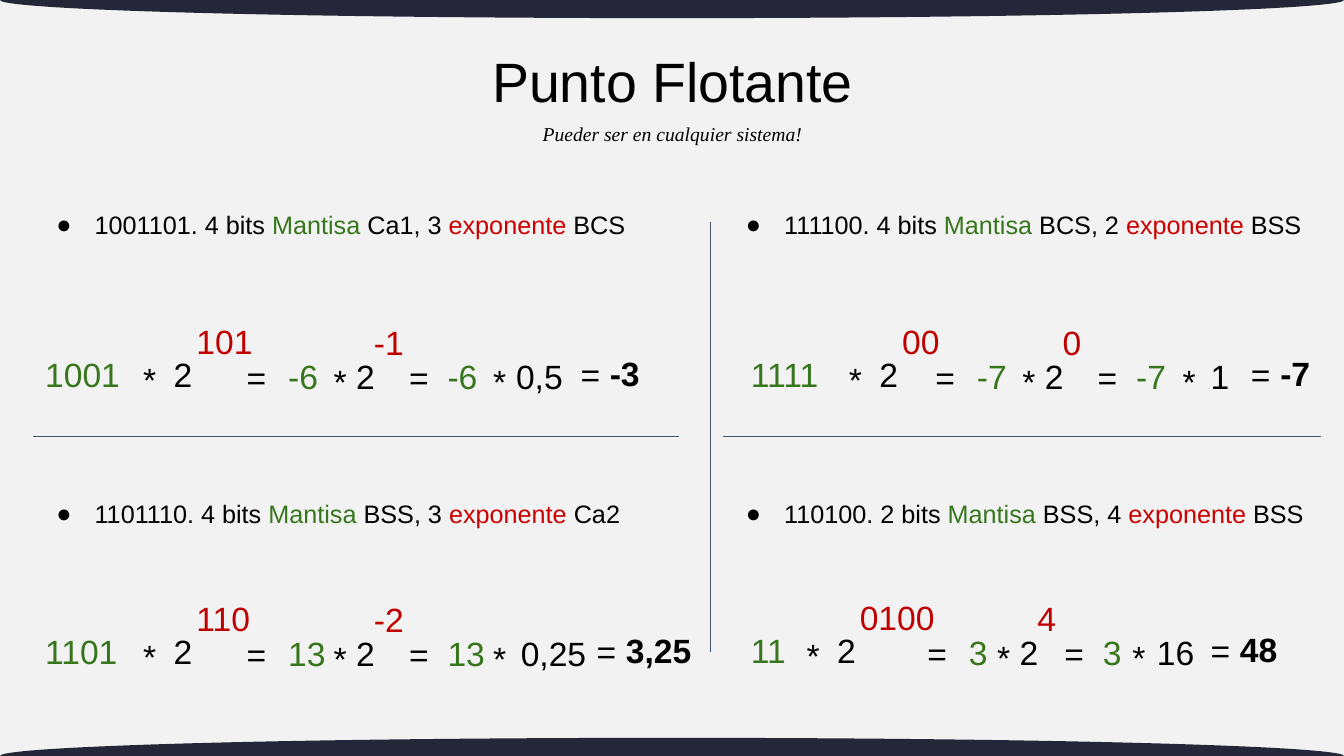
"""Build the slide on floating point numbers: four worked conversions in a two by two grid."""
from dataclasses import dataclass

from lxml.etree import SubElement
from pptx import Presentation
from pptx.dml.color import RGBColor
from pptx.enum.shapes import MSO_CONNECTOR, MSO_SHAPE
from pptx.enum.text import MSO_ANCHOR, PP_ALIGN
from pptx.oxml.ns import qn
from pptx.util import Pt

TITLE = "Punto Flotante"
SUBTITLE = "Pueder ser en cualquier sistema!"

EXAMPLES = [
    dict(heading=("1001101. 4 bits ", " Ca1, 3 ", " BCS"), at=(34, 195, 640), top=321,
         bits=("1001", "101"), decimals=("-6", "-1"), power="0,5", result="-3",
         starts=(35, 233, 394, 564), stars=(92, 83, 80), power_box=(499, 72)),
    dict(heading=("1101110. 4 bits ", " BSS, 3 ", " Ca2"), at=(34, 481, 640), top=596,
         bits=("1101", "110"), decimals=("13", "-2"), power="0,25", result="3,25",
         starts=(35, 233, 394, 580), stars=(92, 83, 80), power_box=(499, 100)),
    dict(heading=("111100. 4 bits ", " BCS, 2 ", " BSS"), at=(718, 195, 590), top=321,
         bits=("1111", "00"), decimals=("-7", "0"), power="1", result="-7",
         starts=(735, 916, 1077, 1229), stars=(92, 83, 81), power_box=(1174, 72)),
    dict(heading=("110100. 2 bits ", " BSS, 4 ", " BSS"), at=(718, 481, 590), top=595,
         bits=("11", "0100"), decimals=("3", "4"), power="16", result="48",
         starts=(735, 908, 1044, 1189), stars=(50, 66, 64), power_box=(1116, 100)),
]
DIVIDERS = [(705, 220, 705, 647), (33, 433, 673, 433), (717, 433, 1310, 433)]

PX = 9144
SLIDE_W, SLIDE_H = 1333, 750
BAND_H = 36
SYMBOL_W, SYMBOL_H, NUMBER_H = 43, 51, 67


@dataclass(frozen=True)
class Theme:
    sans: str = "Arial"
    serif: str = "Times New Roman"
    paper: str = "F2F2F2"
    band: str = "252738"
    rule: str = "44546A"
    ink: str = "000000"
    mantissa: str = "38761D"
    exponent_word: str = "CC0000"
    exponent: str = "C00000"
    title_pt: float = 39.6
    subtitle_pt: float = 14
    heading_pt: float = 18
    term_pt: float = 24


THEME = Theme()


def px(length):
    return length * PX


def rgb(value):
    return RGBColor.from_string(value)


def add_text(shapes, box, text, size, color=THEME.ink, font=THEME.sans, bold=False, italic=False,
             align=PP_ALIGN.LEFT, anchor=MSO_ANCHOR.TOP, spacing=1.0, inset=5, bullet=False):
    """Write text, either one string or (text, color) pairs, in a box given in px."""
    frame = shapes.add_textbox(*map(px, box)).text_frame
    frame.word_wrap = True
    frame.vertical_anchor = anchor
    frame.margin_left = frame.margin_right = px(10)
    frame.margin_top = frame.margin_bottom = px(inset)
    paragraph = frame.paragraphs[0]
    paragraph.alignment = align
    paragraph.line_spacing = spacing
    if bullet:
        properties = paragraph._p.get_or_add_pPr()
        properties.set("marL", str(px(50)))
        properties.set("indent", str(px(-38)))
        bullet_color = SubElement(properties, qn("a:buClr"))
        SubElement(bullet_color, qn("a:srgbClr"), val=THEME.ink)
        SubElement(properties, qn("a:buFont"), typeface=THEME.sans)
        SubElement(properties, qn("a:buChar"), char="●")
    for words, run_color in [(text, color)] if isinstance(text, str) else text:
        run = paragraph.add_run()
        run.text = words
        run.font.name = font
        run.font.size = Pt(size)
        run.font.bold = bold
        run.font.italic = italic
        run.font.color.rgb = rgb(run_color)


def add_symbol(shapes, left, top, text, width=SYMBOL_W):
    add_text(shapes, (left, top, width, SYMBOL_H), text, THEME.term_pt,
             align=PP_ALIGN.CENTER, spacing=1.5, inset=10)


def add_number(shapes, left, top, width, text, color, bold=False):
    add_text(shapes, (left, top, width, NUMBER_H), text, THEME.term_pt,
             color=color, bold=bold, spacing=1.5, inset=10)


def add_heading(shapes, example):
    digits, mantissa_code, exponent_code = example["heading"]
    runs = [(digits, THEME.ink), ("Mantisa", THEME.mantissa), (mantissa_code, THEME.ink),
            ("exponente", THEME.exponent_word), (exponent_code, THEME.ink)]
    add_text(shapes, (*example["at"], 60), runs, THEME.heading_pt,
             anchor=MSO_ANCHOR.MIDDLE, spacing=0.9, bullet=True)


def add_equation(shapes, example):
    top = example["top"]
    mantissa, exponent = example["bits"]
    value, power_of_two = example["decimals"]
    binary, decimal, product, result = example["starts"]
    binary_star, decimal_star, product_star = example["stars"]

    term = shapes.add_group_shape().shapes
    add_number(term, binary, top, 113, mantissa, THEME.mantissa)
    add_symbol(term, binary + binary_star, top + 5, "*")
    add_symbol(term, binary + binary_star + 33, top, "2")
    add_number(term, binary + binary_star + 58, top - 33, 113, exponent, THEME.exponent)

    term = shapes.add_group_shape().shapes
    add_symbol(term, decimal, top + 3, "=")
    add_number(term, decimal + 43, top + 2, 72, value, THEME.mantissa)
    add_symbol(term, decimal + decimal_star, top + 7, "*")
    add_symbol(term, decimal + decimal_star + 25, top + 2, "2")
    add_number(term, decimal + decimal_star + 45, top - 32, 68, power_of_two, THEME.exponent)

    term = shapes.add_group_shape().shapes
    power_left, power_width = example["power_box"]
    add_symbol(term, product, top + 3, "=")
    add_number(term, product + 40, top + 2, 72, value, THEME.mantissa)
    add_symbol(term, product + product_star, top + 7, "*")
    add_symbol(term, power_left, top + 2, example["power"], width=power_width)

    term = shapes.add_group_shape().shapes
    add_symbol(term, result, top, "=")
    add_number(term, result + 31, top - 1, 93, example["result"], THEME.ink, bold=True)


def add_band(shapes, middle):
    band = shapes.add_shape(MSO_SHAPE.OVAL, 0, px(middle - BAND_H // 2), px(SLIDE_W), px(BAND_H))
    band.shadow.inherit = False
    band.fill.solid()
    band.fill.fore_color.rgb = rgb(THEME.band)
    band.line.fill.background()


def add_divider(shapes, ends):
    divider = shapes.add_connector(MSO_CONNECTOR.STRAIGHT, *map(px, ends))
    divider.line.color.rgb = rgb(THEME.rule)
    divider.line.width = Pt(0.75)
    SubElement(divider._element.spPr, qn("a:effectLst"))


def main():
    deck = Presentation()
    deck.slide_width, deck.slide_height = px(SLIDE_W), px(SLIDE_H)
    slide = deck.slides.add_slide(deck.slide_layouts[6])
    slide.background.fill.solid()
    slide.background.fill.fore_color.rgb = rgb(THEME.paper)
    shapes = slide.shapes
    for middle in (0, SLIDE_H):
        add_band(shapes, middle)
    add_text(shapes, (343, 37, 648, 94), TITLE, THEME.title_pt, align=PP_ALIGN.CENTER,
             anchor=MSO_ANCHOR.MIDDLE, spacing=0.9)
    add_text(shapes, (440, 116, 454, 34), SUBTITLE, THEME.subtitle_pt, font=THEME.serif,
             italic=True, align=PP_ALIGN.CENTER)
    for ends in DIVIDERS:
        add_divider(shapes, ends)
    for example in EXAMPLES:
        add_heading(shapes, example)
        add_equation(shapes, example)
    deck.save("out.pptx")


if __name__ == "__main__":
    main()
